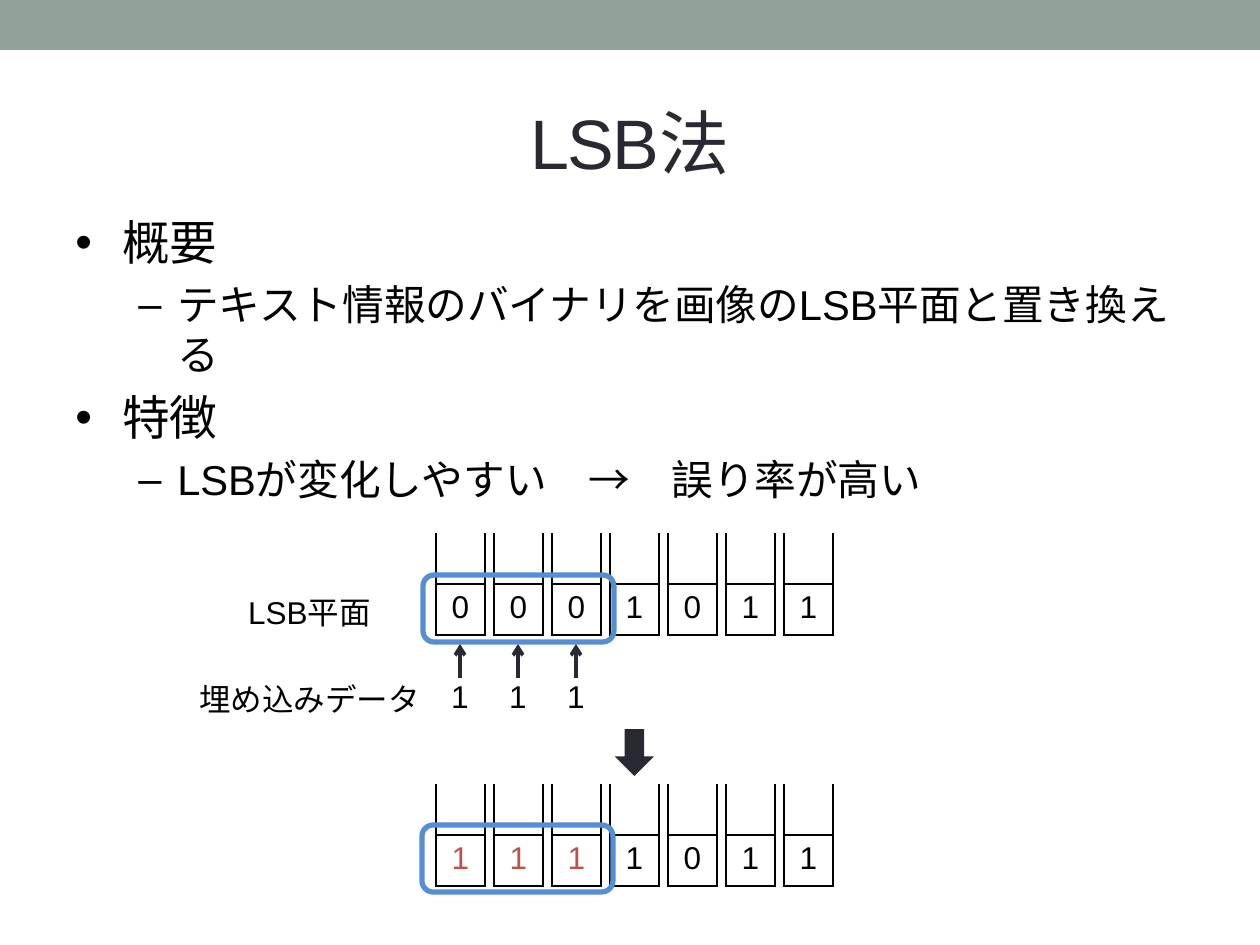
"""Builds a slide explaining the LSB method with bit columns before and after embedding."""
from lxml.etree import SubElement
from pptx import Presentation
from pptx.dml.color import RGBColor
from pptx.enum.shapes import MSO_CONNECTOR, MSO_SHAPE
from pptx.enum.text import MSO_ANCHOR, PP_ALIGN
from pptx.oxml.ns import qn
from pptx.util import Emu, Pt

DARK, BLACK, RED, BLUE, GREEN = "292934", "000000", "C0504D", "558ED5", "93A299"
PITCH, CELL, ROW = 58, 49, 51


def px(*lengths):
    return [Emu(round(length * 914400 / 126)) for length in lengths]


def write(para, text, size=18, color=BLACK, align=PP_ALIGN.CENTER):
    para.alignment = align
    span = para.add_run()
    span.text = text
    span.font.name = "Arial"
    span.font.size = Pt(size)
    span.font.color.rgb = RGBColor.from_string(color)
    return span


deck = Presentation()
deck.slide_width, deck.slide_height = px(1260, 945)
page = deck.slides.add_slide(deck.slide_layouts[6])
shapes = page.shapes

for kind, place, fill in [
    (MSO_SHAPE.RECTANGLE, (0, 0, 1260, 50), GREEN),
    (MSO_SHAPE.DOWN_ARROW, (615, 729, 39, 47), DARK),
]:
    block = shapes.add_shape(kind, *px(*place))
    block.shadow.inherit = False
    block.fill.solid()
    block.fill.fore_color.rgb = RGBColor.from_string(fill)
    block.line.fill.background()

title = shapes.add_textbox(*px(63, 73, 1134, 136)).text_frame
title.word_wrap = True
title.vertical_anchor = MSO_ANCHOR.MIDDLE
write(title.paragraphs[0], "LSB法", 40, DARK).font._element.set("spc", "-100")

body = shapes.add_textbox(*px(63, 207, 1134, 277)).text_frame
body.word_wrap = True
for index, (level, text) in enumerate([
    (0, "概要"),
    (1, "テキスト情報のバイナリを画像のLSB平面と置き換える"),
    (0, "特徴"),
    (1, "LSBが変化しやすい　→　誤り率が高い"),
]):
    para = body.add_paragraph() if index else body.paragraphs[0]
    size, margin, hang, mark = [(27.2, 47, 47, "•"), (23.8, 102, 39, "–")][level]
    para.level = level
    para.space_before = Pt(round(size * 0.2, 1))
    write(para, text, size, align=PP_ALIGN.LEFT)
    props = para._p.get_or_add_pPr()
    left, indent = px(margin, -hang)
    props.set("marL", str(left))
    props.set("indent", str(indent))
    SubElement(props, qn("a:buFont")).set("typeface", "Arial")
    SubElement(props, qn("a:buChar")).set("char", mark)

for top, text in [(587, "LSB平面"), (674, "埋め込みデータ")]:
    label = shapes.add_textbox(*px(172, top, 275, 50)).text_frame
    label.word_wrap = True
    write(label.paragraphs[0], text)

grids = [(431, 674, PITCH, [["1", "1", "1"]], BLACK, False)]
for top, bits, changed in [(533, "0001011", BLACK), (784, "1111011", RED)]:
    for column, bit in enumerate(bits):
        color = changed if column < 3 else BLACK
        grids.append((436 + column * PITCH, top, CELL, [[""], [bit]], color, True))

for left, top, width, rows, color, bordered in grids:
    columns = len(rows[0])
    place = px(left, top, width * columns, ROW * len(rows))
    table = shapes.add_table(len(rows), columns, *place).table
    table.first_row = table.horz_banding = False
    for r, values in enumerate(rows):
        for c, value in enumerate(values):
            cell = table.cell(r, c)
            if value:
                write(cell.text_frame.paragraphs[0], value, color=color)
            props = cell._tc.get_or_add_tcPr()
            for side in ("lnL", "lnR", "lnT", "lnB"):
                edge = SubElement(props, qn(f"a:{side}"), w="12700")
                if bordered and (r or side != "lnT"):
                    paint = SubElement(edge, qn("a:solidFill"))
                    SubElement(paint, qn("a:srgbClr"), val=BLACK)
                else:
                    SubElement(edge, qn("a:noFill"))
            cell.fill.background()

for column in range(3):
    x = 460 + column * PITCH
    arrow = shapes.add_connector(MSO_CONNECTOR.STRAIGHT, *px(x, 678, x, 644))
    arrow.line.width = Pt(2.08)
    arrow.line.color.rgb = RGBColor.from_string(DARK)
    SubElement(arrow.line._get_or_add_ln(), qn("a:tailEnd"), type="arrow")
    SubElement(arrow._element.spPr, qn("a:effectLst"))

for left, top in [(423, 575), (422, 825)]:
    frame = shapes.add_shape(MSO_SHAPE.ROUNDED_RECTANGLE, *px(left, top, 191, 67))
    frame.shadow.inherit = False
    frame.fill.background()
    frame.line.width = Pt(3)
    frame.line.color.rgb = RGBColor.from_string(BLUE)

deck.save("out.pptx")
